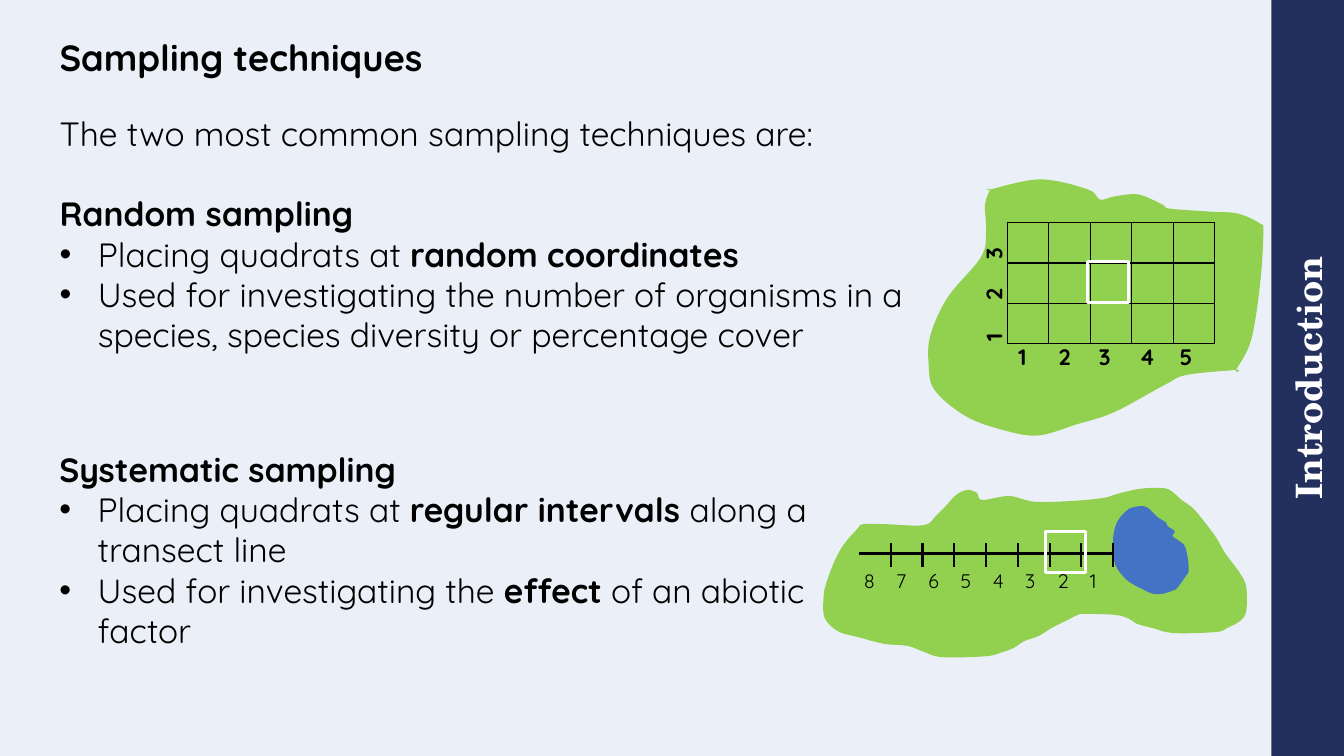
from lxml import etree
from pptx import Presentation
from pptx.dml.color import RGBColor
from pptx.enum.shapes import MSO_CONNECTOR, MSO_SHAPE
from pptx.enum.text import MSO_ANCHOR, PP_ALIGN
from pptx.oxml.ns import qn
from pptx.util import Inches, Pt

RECTANGLE = MSO_SHAPE.RECTANGLE
STRAIGHT = MSO_CONNECTOR.STRAIGHT
TOP, MIDDLE, BOTTOM = MSO_ANCHOR.TOP, MSO_ANCHOR.MIDDLE, MSO_ANCHOR.BOTTOM
LEFT, CENTER = PP_ALIGN.LEFT, PP_ALIGN.CENTER

BLACK = RGBColor(0x00, 0x00, 0x00)
WHITE = RGBColor(0xFF, 0xFF, 0xFF)
AMBER = RGBColor(0xFF, 0xC0, 0x00)
NAVY = RGBColor(0x23, 0x2F, 0x5D)
GREEN = RGBColor(0x92, 0xD0, 0x50)
BLUE = RGBColor(0x44, 0x72, 0xC4)

BODY_FONT = "Quicksand"
BANNER_FONT = "TeX Gyre Schola"
BULLET_FONT = "Arial"
FULL_SLIDE = (0, 0, 13.33, 7.5)

RANDOM_FIELD = [
    (10.91, 1.98), (10.79, 1.88), (10.32, 1.78), (9.82, 1.88), (9.82, 1.88),
    (9.77, 2.03), (9.78, 2.3), (9.73, 2.55), (9.4, 2.95), (9.23, 3.32),
    (9.21, 3.61), (9.27, 3.87), (9.58, 4.13), (9.96, 4.27), (10.3, 4.32),
    (10.68, 4.21), (11.05, 4.09), (11.55, 3.82), (11.77, 3.72), (12.26, 3.67),
    (12.26, 3.67), (12.41, 3.37), (12.5, 2.8), (12.53, 2.3), (12.5, 2.22),
    (12.28, 2.12), (12, 2.1), (11.6, 2.07), (11.53, 2.03), (11.29, 1.93),
    (11.05, 1.95),
]
TRANSECT_FIELD = [
    (9.74, 4.96), (9.69, 4.89), (9.61, 4.86), (9.53, 4.88), (9.46, 4.93),
    (9.38, 5.02), (9.28, 5.12), (9.16, 5.21), (8.77, 5.2), (8.56, 5.2),
    (8.5, 5.25), (8.37, 5.4), (8.28, 5.56), (8.2, 5.77), (8.17, 5.9),
    (8.17, 6.1), (8.24, 6.21), (8.35, 6.28), (8.51, 6.32), (8.69, 6.37),
    (8.78, 6.39), (9.01, 6.41), (9.17, 6.47), (9.35, 6.52), (9.78, 6.51),
    (9.94, 6.47), (10.05, 6.43), (10.16, 6.36), (10.3, 6.31), (10.43, 6.23),
    (10.57, 6.16), (10.69, 6.1), (10.76, 6.09), (11.06, 6.1), (11.2, 6.14),
    (11.28, 6.19), (11.43, 6.23), (11.64, 6.28), (12.06, 6.27), (12.17, 6.23),
    (12.3, 6.16), (12.36, 6.06), (12.36, 5.82), (12.3, 5.69), (12.22, 5.58),
    (12.14, 5.47), (12.06, 5.33), (11.94, 5.17), (11.83, 5.04), (11.72, 4.96),
    (11.6, 4.86), (11.49, 4.84), (11.3, 4.85), (11.08, 4.9), (10.94, 4.94),
    (10.63, 4.97), (10.3, 4.98), (10.17, 4.96), (10, 4.92),
]
POND = [
    (11.65, 5.27), (11.58, 5.22), (11.56, 5.18), (11.48, 5.13), (11.37, 5.03),
    (11.25, 5.03), (11.17, 5.07), (11.08, 5.18), (11.04, 5.34), (11.05, 5.55),
    (11.08, 5.64), (11.17, 5.75), (11.26, 5.81), (11.34, 5.85), (11.43, 5.89),
    (11.54, 5.89), (11.63, 5.86), (11.67, 5.84), (11.75, 5.73), (11.79, 5.65),
    (11.76, 5.44), (11.7, 5.37), (11.63, 5.32),
]


def inches(values):
    return [Inches(value) for value in values]


def add_bullet(properties):
    properties.set("marL", str(Inches(0.38)))
    properties.set("indent", str(-Inches(0.38)))
    etree.SubElement(properties, qn("a:buFont")).set("typeface", BULLET_FONT)
    etree.SubElement(properties, qn("a:buChar")).set("char", "•")


def add_tab_stops(properties, step, count):
    stops = etree.SubElement(properties, qn("a:tabLst"))
    for index in range(count):
        stop = etree.SubElement(stops, qn("a:tab"))
        stop.set("pos", str(Inches(step * (index + 1))))
        stop.set("algn", "l")


def format_text(shape, paragraphs, size=24, font=BODY_FONT, color=BLACK, bold=False,
                align=LEFT, anchor=TOP, inset=(0, 0), line_spacing=None, gap=0, tab_step=0):
    """Lay out paragraphs: **text** is bold, a leading • makes a bullet."""
    frame = shape.text_frame
    frame.word_wrap = True
    frame.vertical_anchor = anchor
    frame.margin_left = frame.margin_right = Inches(inset[0])
    frame.margin_top = frame.margin_bottom = Inches(inset[1])
    for index, text in enumerate(paragraphs):
        paragraph = frame.paragraphs[0] if index == 0 else frame.add_paragraph()
        if text.startswith("•"):
            text = text[1:]
            add_bullet(paragraph._p.get_or_add_pPr())
        elif index and gap:
            paragraph.space_before = Pt(gap)
        if tab_step:
            add_tab_stops(paragraph._p.get_or_add_pPr(), tab_step, text.count("\t"))
        paragraph.alignment = align
        if line_spacing:
            paragraph.line_spacing = line_spacing
        for part, words in enumerate(text.split("**")):
            if words:
                run = paragraph.add_run()
                run.text = words
                run.font.size = Pt(size)
                run.font.name = font
                run.font.color.rgb = color
                run.font.bold = bold or part % 2 == 1


def add_text(slide, box, *paragraphs, rotation=0, **text_format):
    shape = slide.shapes.add_textbox(*inches(box))
    shape.rotation = rotation
    format_text(shape, paragraphs, **text_format)


def paint(shape, color):
    shape.shadow.inherit = False
    shape.fill.solid()
    shape.fill.fore_color.rgb = color
    shape.line.fill.background()


def add_panel(slide, box, color, opacity=100):
    panel = slide.shapes.add_shape(RECTANGLE, *inches(box))
    paint(panel, color)
    if opacity < 100:
        color_element = panel._element.spPr.find(".//" + qn("a:srgbClr"))
        etree.SubElement(color_element, qn("a:alpha")).set("val", str(opacity * 1000))
    return panel


def add_banner(slide, text):
    banner = add_panel(slide, (9.22, 3.39, 7.5, 0.72), NAVY)
    banner.rotation = 270
    format_text(banner, [text], size=26, font=BANNER_FONT, color=WHITE, bold=True,
                align=CENTER, anchor=MIDDLE)


def round_off(outline):
    knots = [(int(point.get("x")), int(point.get("y"))) for point in outline.iter(qn("a:pt"))]
    for line in outline.findall(qn("a:lnTo")):
        outline.remove(line)
    close = outline.find(qn("a:close"))
    for index, b in enumerate(knots):
        a, c, d = (knots[(index + offset) % len(knots)] for offset in (-1, 1, 2))
        leaving = [q + (r - p) / 6 for p, q, r in zip(a, b, c)]
        arriving = [r - (s - q) / 6 for q, r, s in zip(b, c, d)]
        curve = etree.Element(qn("a:cubicBezTo"))
        for x, y in (leaving, arriving, c):
            point = etree.SubElement(curve, qn("a:pt"))
            point.set("x", str(round(x)))
            point.set("y", str(round(y)))
        close.addprevious(curve)


def add_blob(slide, knots, color):
    points = [inches(knot) for knot in knots]
    builder = slide.shapes.build_freeform(*points[0])
    builder.add_line_segments(points[1:], close=False)
    builder.add_line_segments([], close=True)
    blob = builder.convert_to_shape()
    round_off(blob._element.find(".//" + qn("a:path")))
    paint(blob, color)


def add_line(slide, ends, width):
    line = slide.shapes.add_connector(STRAIGHT, *inches(ends))
    line.line.color.rgb = BLACK
    line.line.width = Pt(width)
    etree.SubElement(line._element.spPr, qn("a:effectLst"))


def add_quadrat(slide, left, top):
    quadrat = slide.shapes.add_shape(RECTANGLE, *inches((left, top, 0.4, 0.41)))
    quadrat.shadow.inherit = False
    quadrat.fill.background()
    quadrat.line.color.rgb = WHITE
    quadrat.line.width = Pt(2.25)


def add_cell_borders(cell):
    properties = cell._tc.get_or_add_tcPr()
    for side in ("a:lnL", "a:lnR", "a:lnT", "a:lnB"):
        border = etree.SubElement(properties, qn(side))
        border.set("w", str(Pt(1)))
        fill = etree.SubElement(border, qn("a:solidFill"))
        etree.SubElement(fill, qn("a:srgbClr")).set("val", str(BLACK))


def add_grid(slide):
    table = slide.shapes.add_table(3, 5, *inches((9.99, 2.21, 2.06, 1.2))).table
    table.first_row = table.horz_banding = False
    for cell in table.iter_cells():
        cell.margin_top = cell.margin_bottom = 0
        add_cell_borders(cell)
        cell.fill.background()
    add_text(slide, (10.1, 3.4, 1.77, 0.27), "1\t2\t3\t4\t5", size=16, bold=True, tab_step=0.4)
    add_text(slide, (8.97, 2.37, 1.77, 0.27), "1\t2\t3", size=16, bold=True, tab_step=0.41,
             rotation=270)


def add_transect(slide):
    add_line(slide, (11.04, 5.49, 8.52, 5.49), 2.25)
    for index in range(8):
        tick = 11.04 - 0.315 * index
        add_line(slide, (tick, 5.39, tick, 5.63), 1.5)
    for index in range(8):
        add_text(slide, (10.71 - 0.32 * index, 5.59, 0.31, 0.34), str(index + 1),
                 size=14, inset=(0.1, 0.05))


def main():
    presentation = Presentation()
    presentation.slide_width = Inches(13.33)
    presentation.slide_height = Inches(7.5)
    slide = presentation.slides.add_slide(presentation.slide_layouts[6])
    slide.background.fill.solid()
    slide.background.fill.fore_color.rgb = AMBER

    add_panel(slide, FULL_SLIDE, WHITE)
    add_panel(slide, FULL_SLIDE, BLUE, opacity=10)
    add_banner(slide, "Introduction")
    add_text(slide, (0.59, 1.12, 8.55, 2.83),
             "The two most common sampling techniques are:",
             "**Random sampling**",
             "•Placing quadrats at **random coordinates**",
             "•Used for investigating the number of organisms in a species, "
             "species diversity or percentage cover", gap=28.5)
    add_text(slide, (0.59, 0, 11.61, 0.79), "Sampling techniques",
             size=26, bold=True, anchor=BOTTOM, line_spacing=0.9)
    add_text(slide, (0.49, 4.4, 7.68, 2.12),
             "**Systematic sampling**",
             "•Placing quadrats at **regular intervals **along a transect line",
             "•Used for investigating the **effect** of an abiotic factor", inset=(0.1, 0.05))

    add_blob(slide, TRANSECT_FIELD, GREEN)
    add_blob(slide, POND, BLUE)
    add_transect(slide)
    add_blob(slide, RANDOM_FIELD, GREEN)
    add_grid(slide)
    add_quadrat(slide, 10.79, 2.59)
    add_quadrat(slide, 10.37, 5.27)
    presentation.save("out.pptx")


if __name__ == "__main__":
    main()
